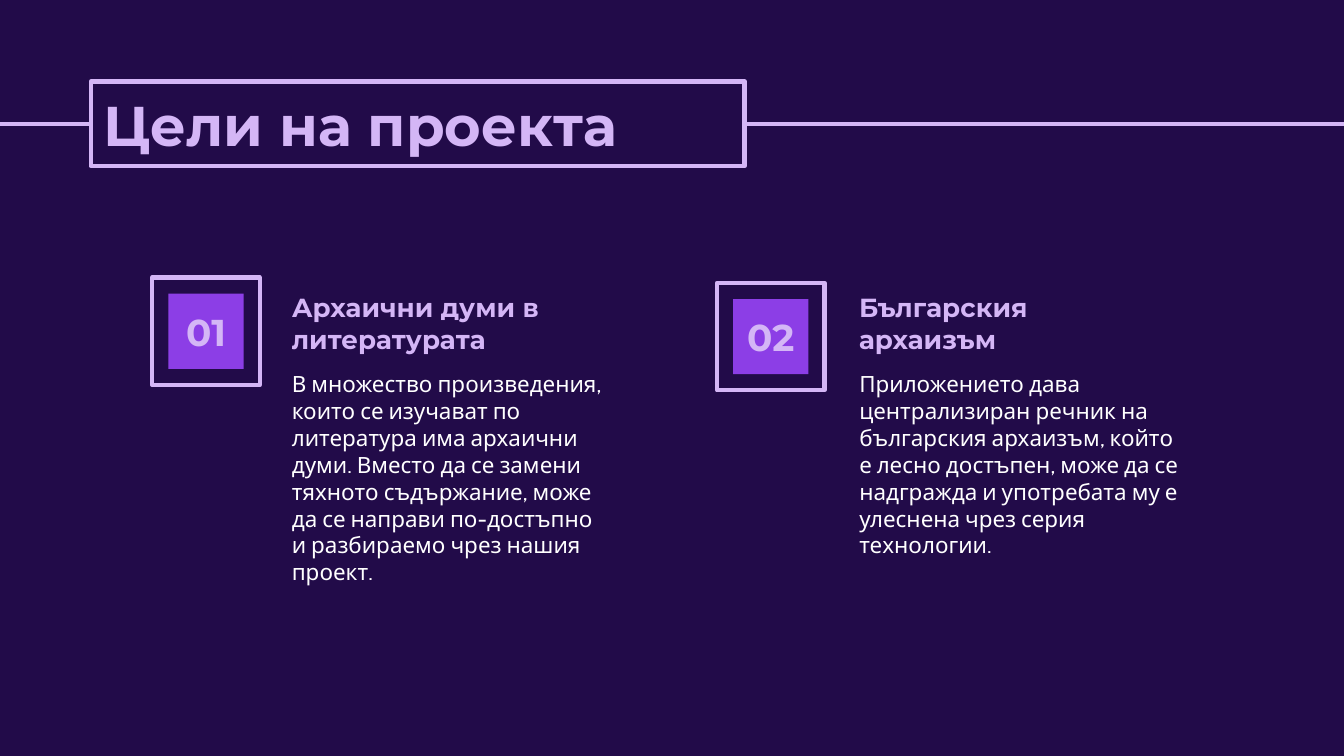
from lxml.etree import SubElement
from pptx import Presentation
from pptx.dml.color import RGBColor
from pptx.enum.shapes import MSO_CONNECTOR, MSO_SHAPE
from pptx.enum.text import MSO_ANCHOR, PP_ALIGN
from pptx.oxml.ns import qn
from pptx.util import Inches, Pt

NIGHT = RGBColor(0x22, 0x0B, 0x49)
LILAC = RGBColor(0xD4, 0xB6, 0xF6)
VIOLET = RGBColor(0x8C, 0x3E, 0xE6)
WHITE = RGBColor(0xFF, 0xFF, 0xFF)

CELL = Inches(0.1)
COLUMNS, ROWS = 100, 56.25
LINE_WIDTH = Pt(2.25)
BADGE_SIZE, BADGE_INSET = 8, 1.2

TITLE_FONT = {"name": "Montserrat", "size": Pt(30), "bold": True}
NUMBER_FONT = {**TITLE_FONT, "size": Pt(20)}
HEADING_FONT = {**TITLE_FONT, "size": Pt(14)}
BODY_FONT = {"name": "Cabin", "size": Pt(12), "bold": False}

GOALS = [
    {
        "number": "01",
        "badge": (11.33, 20.65),
        "text_column": 20.73,
        "heading_width": 25.8,
        "heading": "Архаични думи в литературата",
        "body": "В множество произведения, които се изучават по литература има "
                "архаични думи. Вместо да се замени тяхното съдържание, може да се "
                "направи по-достъпно и разбираемо чрез нашия проект.",
    },
    {
        "number": "02",
        "badge": (53.35, 21.05),
        "text_column": 62.95,
        "heading_width": 21.7,
        "heading": "Българския архаизъм",
        "body": "Приложението дава централизиран речник на българския архаизъм, "
                "който е лесно достъпен, може да се надгражда и употребата му е "
                "улеснена чрез серия технологии.",
    },
]


def cells(*counts):
    return [round(count * CELL) for count in counts]


def set_values(target, values):
    for name, value in values.items():
        setattr(target, name, value)


def write_text(shape, text, font, color, align=PP_ALIGN.LEFT, anchor=MSO_ANCHOR.TOP):
    frame = shape.text_frame
    margins = {f"margin_{side}": CELL for side in ("left", "top", "right", "bottom")}
    set_values(frame, {**margins, "word_wrap": True, "vertical_anchor": anchor})
    paragraph = frame.paragraphs[0]
    paragraph.alignment = align
    run = paragraph.add_run()
    run.text = text
    set_values(run.font, font)
    run.font.color.rgb = color


def add_text(slide, box, text, font, color, **placement):
    write_text(slide.shapes.add_textbox(*cells(*box)), text, font, color, **placement)


def add_rectangle(shapes, box, fill=None, outline=None):
    shape = shapes.add_shape(MSO_SHAPE.RECTANGLE, *cells(*box))
    shape.shadow.inherit = False
    if fill is None:
        shape.fill.background()
    else:
        shape.fill.solid()
        shape.fill.fore_color.rgb = fill
    if outline is None:
        shape.line.fill.background()
    else:
        shape.line.color.rgb = outline
        shape.line.width = LINE_WIDTH
    return shape


def add_rule(slide, row):
    rule = slide.shapes.add_connector(MSO_CONNECTOR.STRAIGHT, *cells(0, row, COLUMNS, row))
    rule.line.color.rgb = LILAC
    rule.line.width = LINE_WIDTH
    SubElement(rule._element.spPr, qn("a:effectLst"))


def add_title(slide, text):
    shape = add_rectangle(slide.shapes, (6.75, 6.07, 48.65, 6.3), NIGHT, LILAC)
    write_text(shape, text, TITLE_FONT, LILAC, anchor=MSO_ANCHOR.MIDDLE)


def add_badge(slide, left, top, number):
    group = slide.shapes.add_group_shape()
    inner = BADGE_SIZE - 2 * BADGE_INSET
    add_rectangle(group.shapes, (left, top, BADGE_SIZE, BADGE_SIZE), outline=LILAC)
    add_rectangle(group.shapes, (left + BADGE_INSET, top + BADGE_INSET, inner, inner), VIOLET)
    add_text(slide, (left, top + 2.1, BADGE_SIZE, 3.8), number, NUMBER_FONT, LILAC,
             align=PP_ALIGN.CENTER, anchor=MSO_ANCHOR.MIDDLE)


def add_goal(slide, goal):
    column = goal["text_column"]
    add_badge(slide, *goal["badge"], goal["number"])
    add_text(slide, (column, 20.7, goal["heading_width"], 4.6), goal["heading"],
             HEADING_FONT, LILAC)
    add_text(slide, (column, 26.55, 25.8, 5.9), goal["body"], BODY_FONT, WHITE)


def main():
    presentation = Presentation()
    width, height = cells(COLUMNS, ROWS)
    set_values(presentation, {"slide_width": width, "slide_height": height})
    slide = presentation.slides.add_slide(presentation.slide_layouts[6])
    slide.background.fill.solid()
    slide.background.fill.fore_color.rgb = NIGHT
    add_rule(slide, 9.22)
    add_title(slide, "Цели на проекта")
    for goal in GOALS:
        add_goal(slide, goal)
    presentation.save("out.pptx")


if __name__ == "__main__":
    main()
